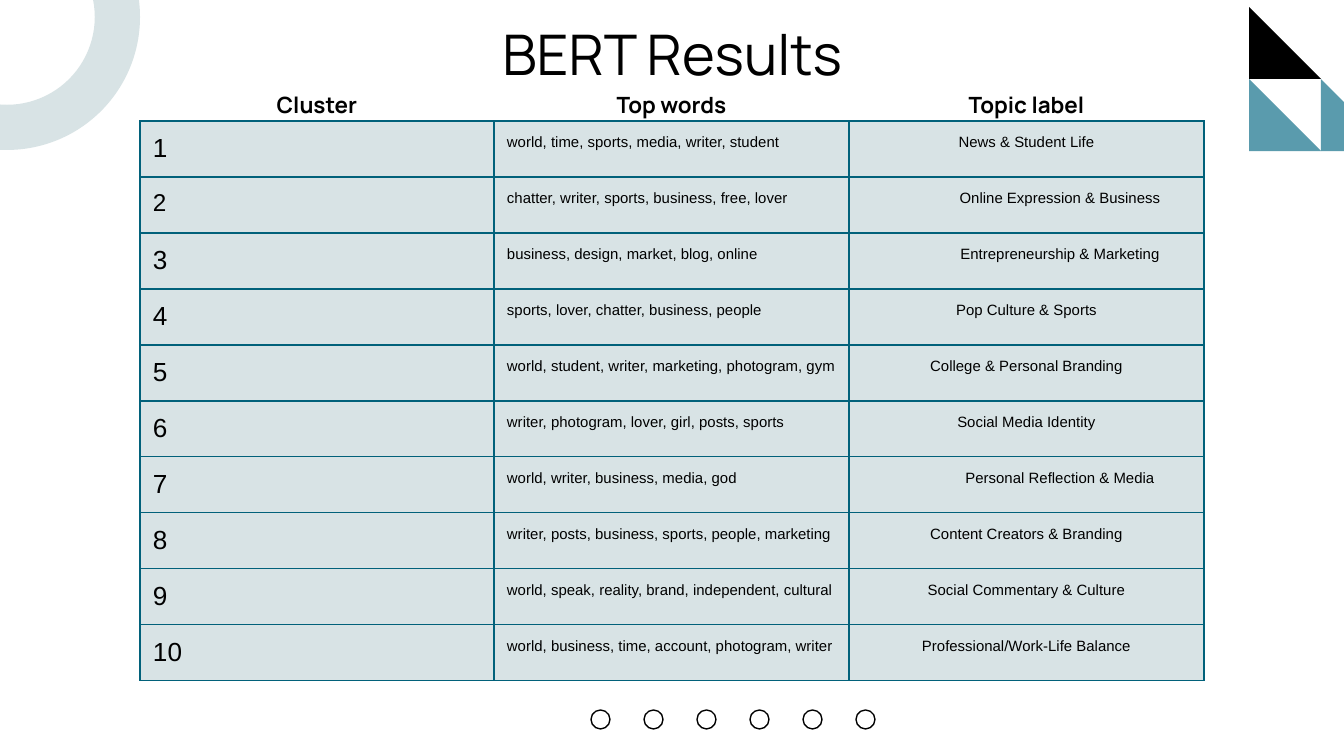
from lxml.etree import SubElement
from pptx import Presentation
from pptx.dml.color import RGBColor
from pptx.enum.shapes import MSO_SHAPE as SHAPE
from pptx.enum.text import MSO_ANCHOR as ANCHOR, MSO_AUTO_SIZE as AUTO, PP_ALIGN as ALIGN
from pptx.oxml.ns import qn
from pptx.util import Pt

PX = 914400 / 134.4
BLACK, TEAL, PALE, BORDER = "000000", "5A9BAD", "D8E3E5", "01617A"

TITLE = "BERT Results"
HEADERS = ["Cluster", "Top words", "Topic label"]
ROWS = [
    ("world, time, sports, media, writer, student", "News & Student Life"),
    ("chatter, writer, sports, business, free, lover", "\tOnline Expression & Business"),
    ("business, design, market, blog, online", "\tEntrepreneurship & Marketing"),
    ("sports, lover, chatter, business, people", "Pop Culture & Sports"),
    ("world, student, writer, marketing, photogram, gym", "College & Personal Branding"),
    ("writer, photogram, lover, girl, posts, sports", "Social Media Identity"),
    ("world, writer, business, media, god", "\tPersonal Reflection & Media"),
    ("writer, posts, business, sports, people, marketing", "Content Creators & Branding"),
    ("world, speak, reality, brand, independent, cultural", "Social Commentary & Culture"),
    ("world, business, time, account, photogram, writer", "Professional/Work-Life Balance"),
]
NUMBER_SIZES = {2: 13}
TRIANGLES = [(1, 1, TEAL), (0, 1, TEAL), (0, 0, BLACK)]
TRI_LEFT, TRI_TOP, TRI = 1249, 7, 72
DOTS, DOT_LEFT, DOT_TOP, DOT, DOT_STEP = 6, 591, 710, 19, 53
LEFT, TOP, WIDTH, ROW_H = 140, 121, 1064, 56
EDGES = [LEFT + WIDTH * i // 3 for i in range(4)]


def px(*values):
    return [round(v * PX) for v in values]


def color(value):
    return RGBColor.from_string(value)


def add_shape(kind, box, fill=None, line=None):
    sp = s.shapes.add_shape(kind, *px(*box))
    sp.shadow.inherit = False
    if fill:
        sp.fill.solid()
        sp.fill.fore_color.rgb = color(fill)
    else:
        sp.fill.background()
    if line:
        sp.line.color.rgb = color(line)
        sp.line.width = Pt(0.75)
    else:
        sp.line.fill.background()
    return sp


def write(tf, text, size, font, align=ALIGN.LEFT, bold=False):
    tf.text = text
    p = tf.paragraphs[0]
    p.alignment = align
    f = p.runs[0].font
    f.size, f.name, f.bold = Pt(size), font, bold
    f.color.rgb = color(BLACK)


def set_margins(obj):
    inset = px(13)[0]
    obj.margin_left = obj.margin_right = obj.margin_top = obj.margin_bottom = inset


def write_box(sp, text, size, bold=False):
    tf = sp.text_frame
    write(tf, text, size, "Manrope", ALIGN.CENTER, bold)
    set_margins(tf)
    tf.word_wrap = True
    tf.auto_size = AUTO.NONE
    tf.vertical_anchor = ANCHOR.TOP


def style_cell(cell):
    set_margins(cell)
    tc_pr = cell._tc.get_or_add_tcPr()
    for side in ("a:lnL", "a:lnR", "a:lnT", "a:lnB"):
        ln = SubElement(tc_pr, qn(side), w=str(Pt(0.75)))
        fill = SubElement(ln, qn("a:solidFill"))
        SubElement(fill, qn("a:srgbClr"), val=BORDER)
    cell.fill.solid()
    cell.fill.fore_color.rgb = color(PALE)


prs = Presentation()
prs.slide_width, prs.slide_height = px(1344, 756)
s = prs.slides.add_slide(prs.slide_layouts[5])

ring = add_shape(SHAPE.DONUT, (-126, -116, 266, 266), PALE)
ring.adjustments[0] = 0.17
for col, row, fill in TRIANGLES:
    add_shape(SHAPE.RIGHT_TRIANGLE, (TRI_LEFT + col * TRI, TRI_TOP + row * TRI, TRI, TRI), fill)
for i in range(DOTS):
    add_shape(SHAPE.OVAL, (DOT_LEFT + i * DOT_STEP, DOT_TOP, DOT, DOT), line=BLACK)

title = s.shapes.title
title.left, title.top, title.width, title.height = px(106, 7, 1133, 71)
write_box(title, TITLE, 30)

frame = s.shapes.add_table(len(ROWS), 3, *px(LEFT, TOP, WIDTH, ROW_H * len(ROWS)))
table = frame.table
table.first_row = table.horz_banding = False
for i, (left, right) in enumerate(zip(EDGES, EDGES[1:])):
    table.columns[i].width = px(right - left)[0]
    write_box(s.shapes.add_textbox(*px(left, 78, right - left, 36)), HEADERS[i], 12, True)

for n, (words, label) in enumerate(ROWS, 1):
    row = table.rows[n - 1]
    row.height = px(ROW_H)[0]
    number, top_words, topic = row.cells
    write(number.text_frame, str(n), NUMBER_SIZES.get(n, 14), "Arial")
    write(top_words.text_frame, words, 8, "Arial")
    write(topic.text_frame, label, 8, "Arial", ALIGN.CENTER)
    for cell in row.cells:
        style_cell(cell)

prs.save("out.pptx")
